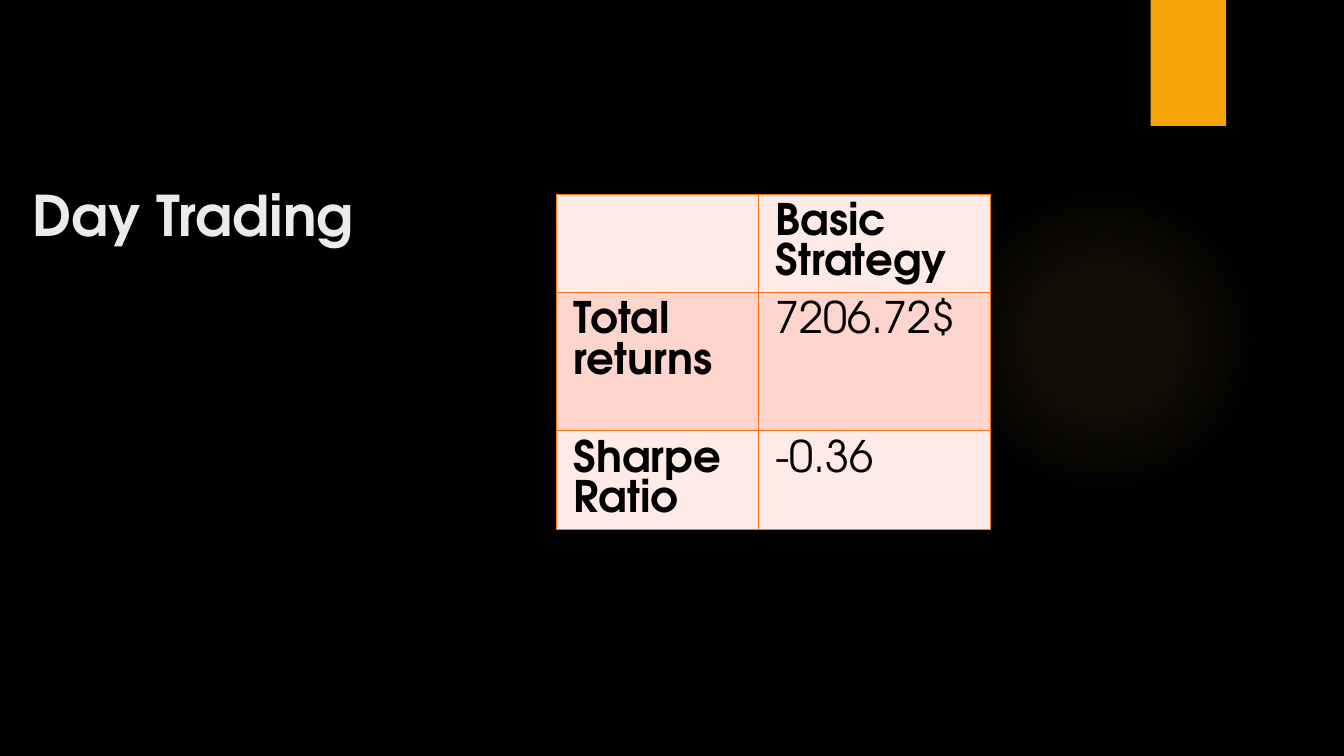
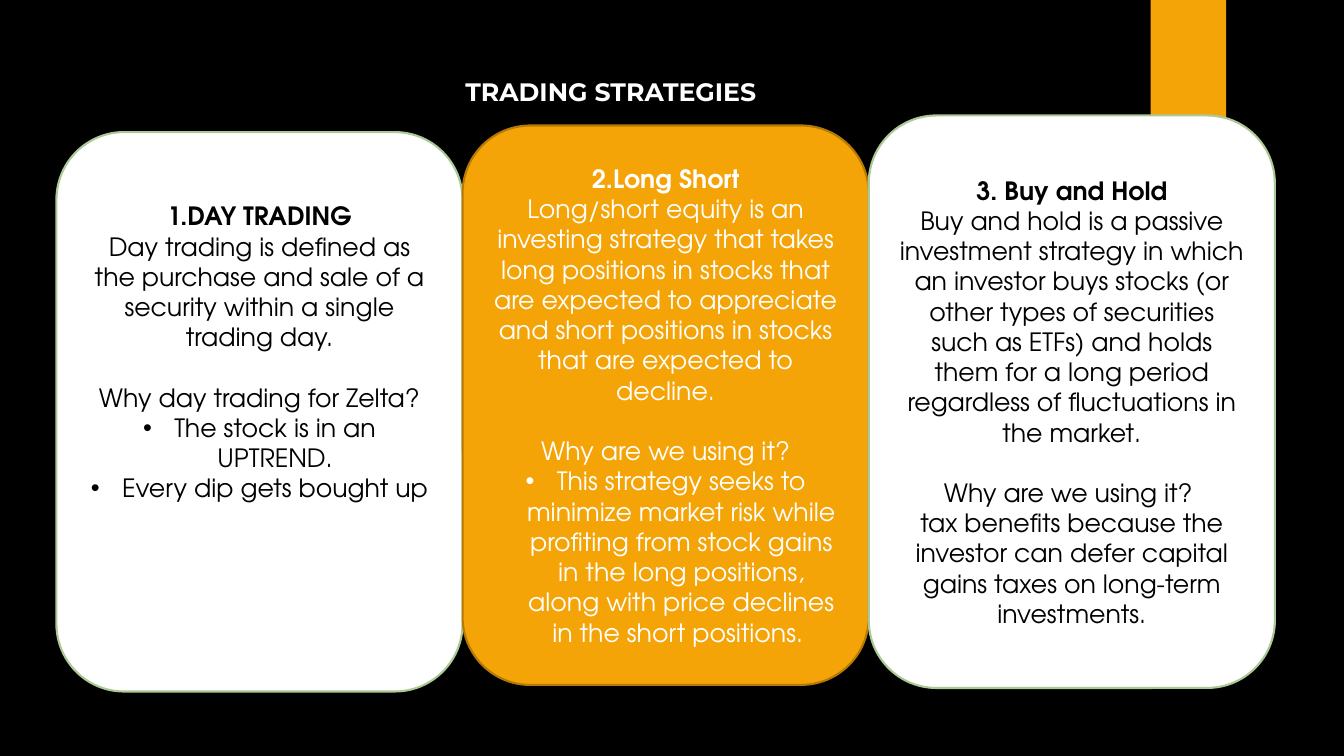
from dataclasses import dataclass

from pptx import Presentation, util as u
from pptx.dml.color import RGBColor
from pptx.enum import shapes, text
from pptx.oxml import parse_xml
from pptx.oxml.ns import nsdecls, qn

WIDTH, HEIGHT = u.Inches(13.33), u.Inches(7.5)
BLACK = RGBColor(0x00, 0x00, 0x00)
WHITE = RGBColor(0xFF, 0xFF, 0xFF)
MIST = RGBColor(0xEB, 0xEB, 0xEB)
AMBER = RGBColor(0xF5, 0xA4, 0x08)
BROWN = RGBColor(0xB5, 0x79, 0x06)
GLOW = RGBColor(0xFA, 0xC9, 0x6A)
SAGE = RGBColor(0xAC, 0xC9, 0x95)
ORANGE = RGBColor(0xFA, 0x73, 0x1A)
BLUSH = RGBColor(0xFE, 0xEB, 0xE8)
ROSE = RGBColor(0xFD, 0xD5, 0xCD)
BODY_FONT, LABEL_FONT = "TeX Gyre Adventor", "Montserrat"
LINE_GAP = u.Pt(21.6)
BULLET_INDENT = u.Inches(0.31)


@dataclass(frozen=True)
class Area:
    left: float
    top: float
    width: float
    height: float

    def lengths(self) -> tuple[int, int, int, int]:
        return (across(self.left), down(self.top),
                across(self.width), down(self.height))


@dataclass(frozen=True)
class Line:
    wording: str
    bold: bool = False
    bullet: bool = False
    gap: bool = False


@dataclass(frozen=True)
class Card:
    top: float
    height: float
    fill: RGBColor
    outline: RGBColor
    ink: RGBColor
    lines: tuple[Line, ...]
    lift: float = 0


BAND = Area(85.62, 0, 5.62, 16.67)
HALO = Area(70.6, 24.4, 23.1, 41.07)
HALO_STOPS = ((0, 7), (36, 6), (69, 0))
CARD_LEFT, CARD_WIDTH = 4.2, 30.22
TABLE_LEFT, TABLE_TOP = 41.42, 25.7
TABLE_COLUMNS = (15, 17.27)
TABLE_ROWS = (12.93, 18.27, 12.87)
RESULTS = (("", "Basic Strategy"),
           ("Total returns", "7206.72$"),
           ("Sharpe Ratio", "-0.36"))
STRATEGIES = (
    Card(17.47, 74, WHITE, SAGE, BLACK, (
        Line("1.DAY TRADING", bold=True),
        Line("Day trading is defined as the purchase and sale of a security "
             "within a single trading day."),
        Line("Why day trading for Zelta?", gap=True),
        Line("The stock is in an UPTREND.", bullet=True),
        Line("Every dip gets bought up", bullet=True)), lift=15.87),
    Card(16.6, 74, AMBER, BROWN, WHITE, (
        Line("2.Long Short", bold=True),
        Line("Long/short equity is an investing strategy that takes long "
             "positions in stocks that are expected to appreciate and short "
             "positions in stocks that are expected to decline."),
        Line("Why are we using it?", gap=True),
        Line("This strategy seeks to minimize market risk while profiting "
             "from stock gains in the long positions, along with price "
             "declines in the short positions. ", bullet=True))),
    Card(15.27, 75.73, WHITE, SAGE, BLACK, (
        Line("3. Buy and Hold", bold=True),
        Line("Buy and hold is a passive investment strategy in which an "
             "investor buys stocks (or other types of securities such as "
             "ETFs) and holds them for a long period regardless of "
             "fluctuations in the market."),
        Line("Why are we using it? ", gap=True),
        Line("tax benefits because the investor can defer capital gains "
             "taxes on long-term investments."))),
)


def across(percent: float) -> int:
    return round(WIDTH * percent / 100)


def down(percent: float) -> int:
    return round(HEIGHT * percent / 100)


def style(paragraph, size: float, ink: RGBColor, bold: bool,
          face: str = BODY_FONT) -> None:
    font = paragraph.font
    font.name, font.size, font.bold = face, u.Pt(size), bold
    font.color.rgb = ink


def add_shape(slide, kind, area: Area, fill: RGBColor):
    shape = slide.shapes.add_shape(kind, *area.lengths())
    shape.shadow.inherit = False
    shape.fill.solid()
    shape.fill.fore_color.rgb = fill
    shape.line.fill.background()
    return shape


def add_titled_slide(deck, wording: str, area: Area, size: float,
                     ink: RGBColor, face: str, anchor):
    slide = deck.slides.add_slide(deck.slide_layouts[5])
    title = slide.shapes.title
    title.left, title.top, title.width, title.height = area.lengths()
    frame = title.text_frame
    frame.text = wording
    frame.word_wrap = True
    frame.auto_size = text.MSO_AUTO_SIZE.NONE
    frame.vertical_anchor = anchor
    heading = frame.paragraphs[0]
    heading.alignment = text.PP_ALIGN.LEFT
    heading.line_spacing = 0.9
    style(heading, size, ink, True, face)
    add_shape(slide, shapes.MSO_SHAPE.RECTANGLE, BAND, AMBER)
    return slide


def add_halo(slide) -> None:
    halo = add_shape(slide, shapes.MSO_SHAPE.OVAL, HALO, GLOW)
    stops = "".join(
        f'<a:gs pos="{place * 1000}"><a:srgbClr val="{GLOW}">'
        f'<a:alpha val="{opacity * 1000}"/></a:srgbClr></a:gs>'
        for place, opacity in HALO_STOPS)
    gradient = parse_xml(
        f'<a:gradFill {nsdecls("a")} rotWithShape="1"><a:gsLst>{stops}</a:gsLst>'
        '<a:path path="circle"><a:fillToRect l="50000" t="50000" r="50000" '
        'b="50000"/></a:path></a:gradFill>')
    properties = halo._element.spPr
    properties.replace(properties.find(qn("a:solidFill")), gradient)


def add_borders(cell) -> None:
    properties = cell._tc.get_or_add_tcPr()
    for order, side in enumerate("LRTB"):
        properties.insert(order, parse_xml(
            f'<a:ln{side} {nsdecls("a")} w="12700"><a:solidFill>'
            f'<a:srgbClr val="{ORANGE}"/></a:solidFill></a:ln{side}>'))


def add_results(slide) -> None:
    area = Area(TABLE_LEFT, TABLE_TOP, sum(TABLE_COLUMNS), sum(TABLE_ROWS))
    table = slide.shapes.add_table(
        len(TABLE_ROWS), len(TABLE_COLUMNS), *area.lengths()).table
    table.first_row = table.horz_banding = False
    for column, share in zip(table.columns, TABLE_COLUMNS):
        column.width = across(share)
    for row, share in zip(table.rows, TABLE_ROWS):
        row.height = down(share)
    for r, values in enumerate(RESULTS):
        for c, value in enumerate(values):
            cell = table.cell(r, c)
            cell.fill.solid()
            cell.fill.fore_color.rgb = ROSE if r % 2 else BLUSH
            cell.margin_left = cell.margin_right = u.Inches(0.17)
            cell.margin_top = cell.margin_bottom = u.Inches(0.09)
            add_borders(cell)
            if value:
                cell.text = value
                style(cell.text_frame.paragraphs[0], 31, BLACK,
                      r == 0 or c == 0)


def add_bullet(paragraph) -> None:
    properties = paragraph._p.get_or_add_pPr()
    properties.set("marL", str(BULLET_INDENT))
    properties.set("indent", str(-BULLET_INDENT))
    for element in ('buFont {} typeface="Arial"', 'buChar {} char="•"'):
        properties.append(parse_xml(f'<a:{element.format(nsdecls("a"))}/>'))


def add_card(slide, column: int, card: Card) -> None:
    area = Area(CARD_LEFT + column * CARD_WIDTH, card.top,
                CARD_WIDTH, card.height)
    panel = add_shape(slide, shapes.MSO_SHAPE.ROUNDED_RECTANGLE, area, card.fill)
    panel.line.color.rgb = card.outline
    panel.line.width = u.Pt(1.5)
    frame = panel.text_frame
    frame.word_wrap = True
    frame.vertical_anchor = text.MSO_ANCHOR.MIDDLE
    frame.margin_bottom = u.Inches(0.05) + down(card.lift)
    for order, line in enumerate(card.lines):
        paragraph = frame.add_paragraph() if order else frame.paragraphs[0]
        paragraph.text = line.wording
        paragraph.alignment = text.PP_ALIGN.CENTER
        if line.gap:
            paragraph.space_before = LINE_GAP
        if line.bullet:
            add_bullet(paragraph)
        style(paragraph, 18, card.ink, line.bold)


def main() -> None:
    deck = Presentation()
    deck.slide_width, deck.slide_height = WIDTH, HEIGHT
    backdrop = deck.slide_master.background.fill
    backdrop.solid()
    backdrop.fore_color.rgb = BLACK

    day_trading = add_titled_slide(
        deck, "Day Trading", Area(1.65, 23.33, 31.13, 10.27), 40, MIST,
        BODY_FONT, text.MSO_ANCHOR.BOTTOM)
    add_halo(day_trading)
    add_results(day_trading)

    overview = add_titled_slide(
        deck, "TRADING STRATEGIES", Area(33.87, 9.73, 44.3, 5.33), 18, WHITE,
        LABEL_FONT, text.MSO_ANCHOR.MIDDLE)
    for column, card in enumerate(STRATEGIES):
        add_card(overview, column, card)
    deck.save("out.pptx")


if __name__ == "__main__":
    main()
